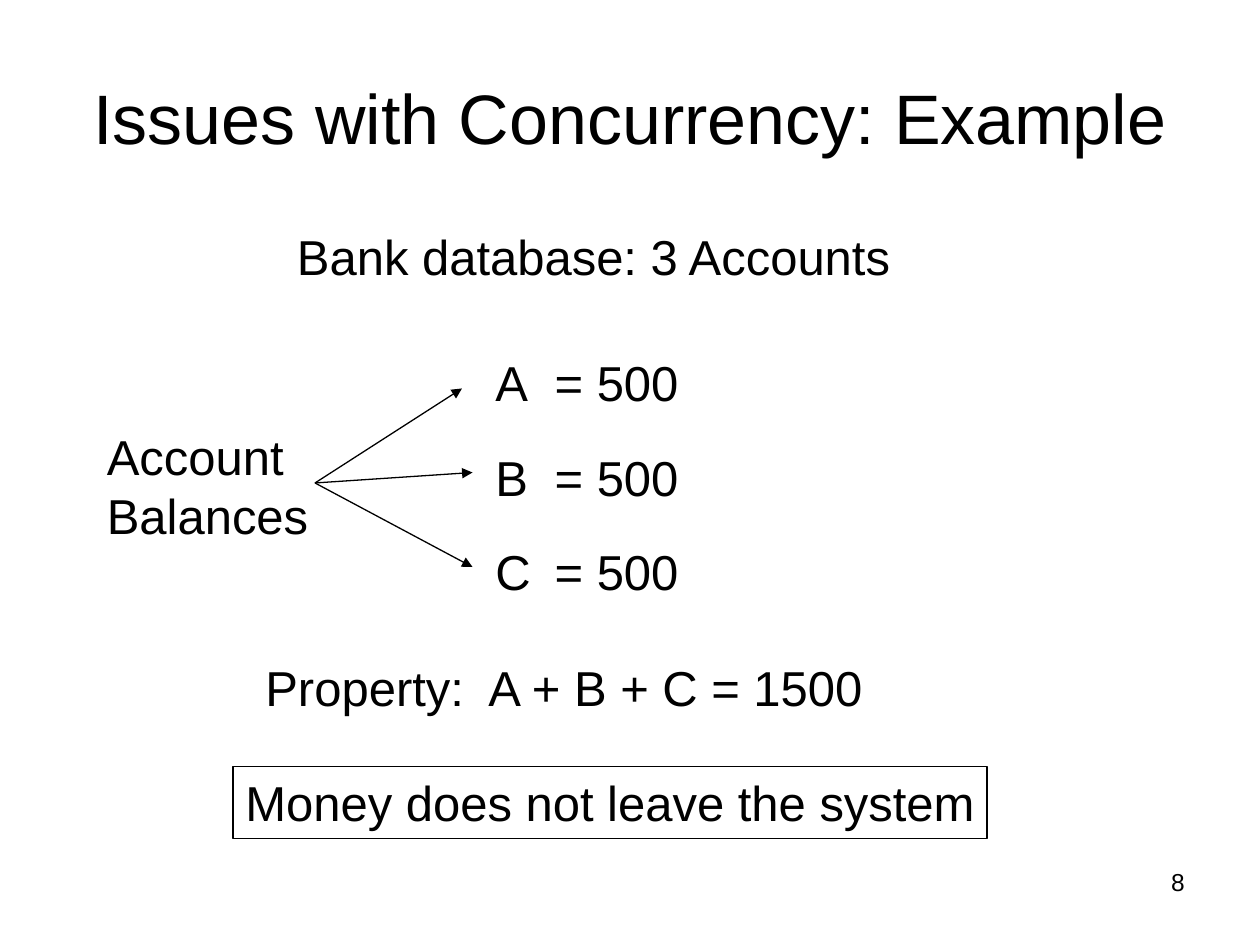
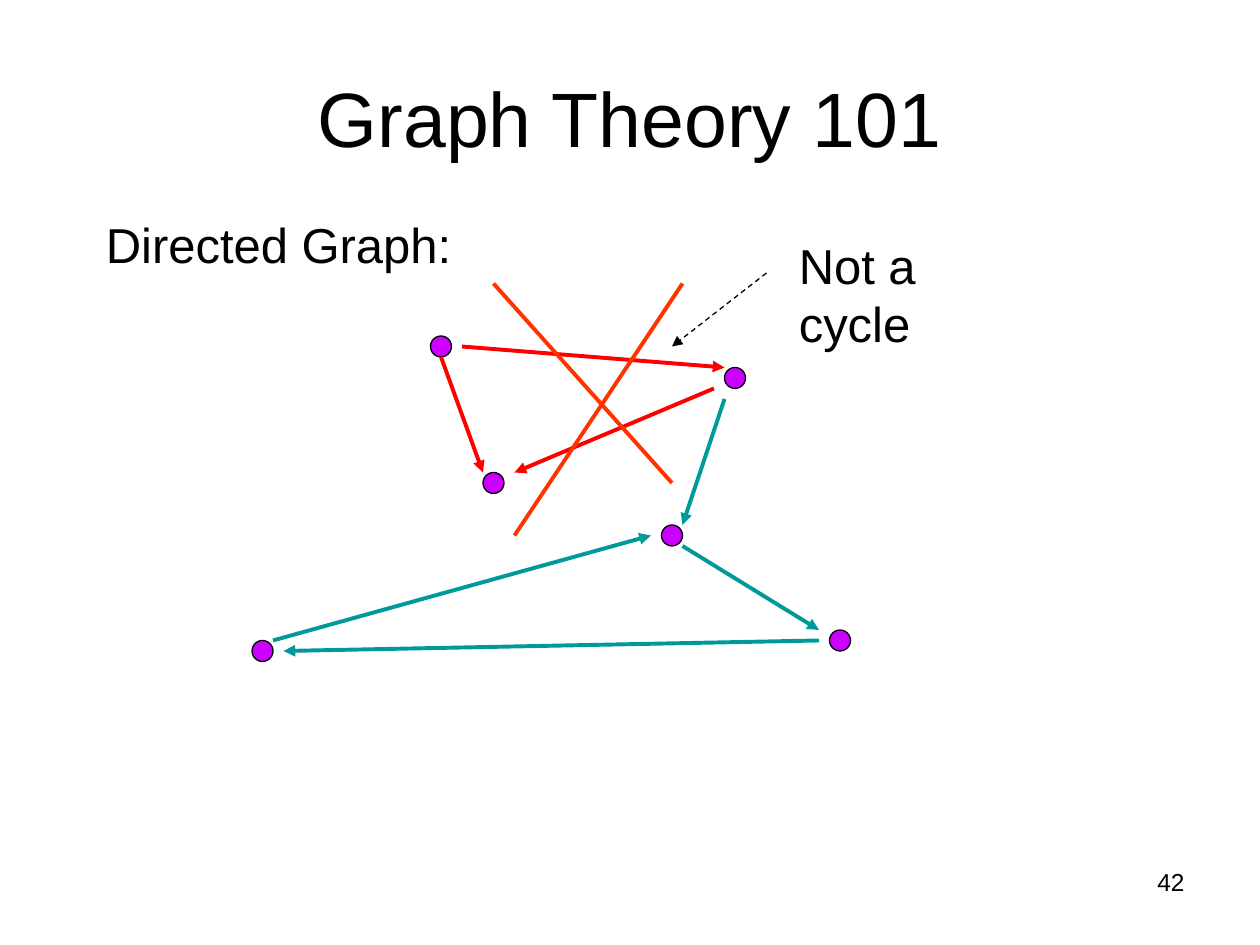
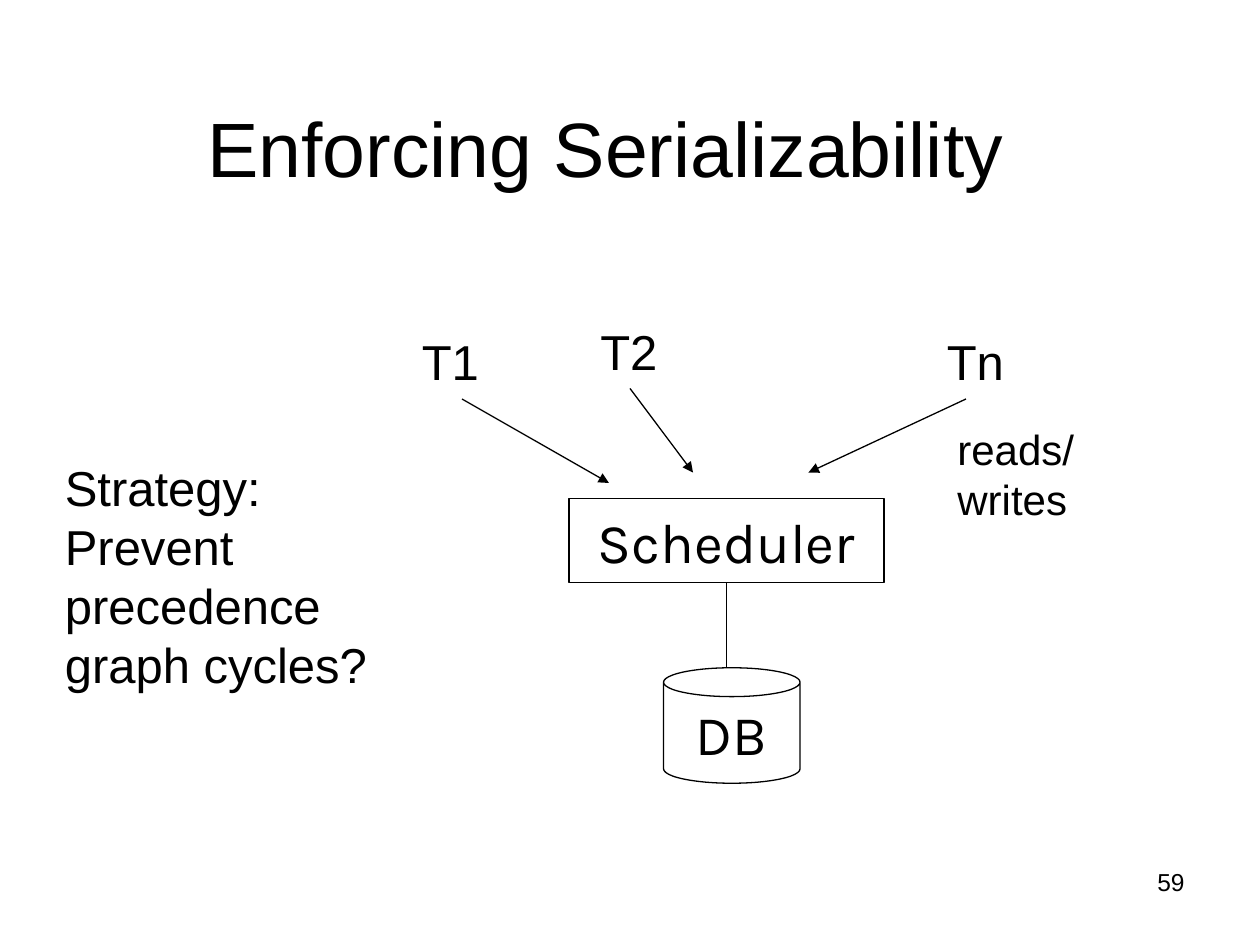
from lxml import etree
from pptx import Presentation
from pptx import util as u
from pptx.dml.color import RGBColor
from pptx.enum import dml, shapes, text
from pptx.oxml.ns import qn

COLORS = {
    "ink": "000000",
    "paper": "FFFFFF",
    "node": "CC00FF",
    "path": "FF0000",
    "cycle": "009999",
    "cross": "FF3300",
}
COLUMNS, ROWS = 120, 90
LEFT, CENTER, RIGHT = text.PP_ALIGN.LEFT, text.PP_ALIGN.CENTER, text.PP_ALIGN.RIGHT
TOP, MIDDLE = text.MSO_ANCHOR.TOP, text.MSO_ANCHOR.MIDDLE


def color(name):
    return RGBColor.from_string(COLORS[name])


class Deck:
    font = "Arial"
    body_size = 28
    text_height = 6.84

    def __init__(self):
        self.presentation = Presentation()
        self.presentation.slide_width = u.Inches(10)
        self.presentation.slide_height = u.Inches(7.5)
        self.slide = None

    def place(self, column, row):
        return (round(self.presentation.slide_width * column / COLUMNS),
                round(self.presentation.slide_height * row / ROWS))

    def new_slide(self, title, number, size=44, at=(6, 3.6, 108, 15)):
        self.slide = self.presentation.slides.add_slide(self.presentation.slide_layouts[6])
        self.label(title, *at, size=size, align=CENTER, anchor=MIDDLE, wrap=True)
        self.label(str(number), 86, 82, 28, 6.2, size=14, align=RIGHT, wrap=True)

    def fill_text(self, shape, lines, size, font, align, anchor, wrap, tab=None):
        frame = shape.text_frame
        frame.word_wrap = wrap
        frame.vertical_anchor = anchor
        paragraph = frame.paragraphs[0]
        paragraph.alignment = align
        if tab:
            tabs = etree.SubElement(paragraph._p.get_or_add_pPr(), qn("a:tabLst"))
            etree.SubElement(tabs, qn("a:tab"), pos=str(u.Inches(tab)), algn="l")
        for index, line in enumerate(lines.split("\n")):
            if index:
                paragraph.add_line_break()
            run = paragraph.add_run()
            run.text = line
            run.font.size = u.Pt(size)
            run.font.name = font
            run.font.color.rgb = color("ink")

    def label(self, lines, column, row, width, height=text_height, size=body_size,
              align=LEFT, anchor=TOP, wrap=False, tab=None):
        box = self.slide.shapes.add_textbox(*self.place(column, row), *self.place(width, height))
        self.fill_text(box, lines, size, self.font, align, anchor, wrap, tab)

    def shape(self, kind, column, row, width, height, fill=None, lines=None,
              size=32, font="Karla", align=CENTER, anchor=MIDDLE):
        shape = self.slide.shapes.add_shape(
            kind, *self.place(column, row), *self.place(width, height))
        shape.shadow.inherit = False
        if fill:
            shape.fill.solid()
            shape.fill.fore_color.rgb = color(fill)
        else:
            shape.fill.background()
        shape.line.color.rgb = color("ink")
        shape.line.width = u.Pt(0.75)
        if lines:
            self.fill_text(shape, lines, size, font, align, anchor, False)
        return shape

    def line(self, start, end, stroke="ink", weight=0.75, arrow=True, dashed=False):
        connector = self.slide.shapes.add_connector(
            shapes.MSO_CONNECTOR.STRAIGHT, *self.place(*start), *self.place(*end))
        connector.line.color.rgb = color(stroke)
        connector.line.width = u.Pt(weight)
        if dashed:
            connector.line.dash_style = dml.MSO_LINE.DASH
        properties = connector._element.spPr
        if arrow:
            etree.SubElement(properties.find(qn("a:ln")), qn("a:tailEnd"), type="triangle")
        etree.SubElement(properties, qn("a:effectLst"))
        return connector


def concurrency_example(deck):
    deck.new_slide("Issues with Concurrency: Example", 8, size=40)
    for index, account in enumerate("ABC"):
        deck.label(f"{account}\t= 500", 46, 33 + 9 * index, 20, tab=0.47)
    deck.label("Account\nBalances", 9, 40, 21.6, 12.5)
    for tip in [(44, 37), (45, 45), (45, 54)]:
        deck.line((30, 46), tip)
    deck.label("Bank database: 3 Accounts", 27.1, 21, 59.2)
    deck.label("Property:\tA + B + C = 1500", 24.1, 62, 59.8, tab=1.77)
    deck.shape(shapes.MSO_SHAPE.RECTANGLE, 22.2, 73, 71.8, deck.text_height,
               lines="Money does not leave the system", size=deck.body_size,
               font=deck.font, align=LEFT, anchor=TOP)


def graph_theory(deck):
    deck.new_slide("Graph Theory 101", 42)
    for column, row in [(79, 60), (41, 32), (24, 61), (69, 35), (46, 45), (63, 50)]:
        deck.shape(shapes.MSO_SHAPE.OVAL, column, row, 2, 2, fill="node")
    edges = {
        "path": [((42, 34), (46, 45)), ((44, 33), (69, 35)), ((68, 37), (49, 45))],
        "cycle": [((69, 38), (65, 50)), ((26, 61), (62, 51)),
                  ((65, 52), (78, 60)), ((78, 61), (27, 62))],
        "cross": [((47, 27), (64, 46)), ((65, 27), (49, 51))],
    }
    for stroke, ends in edges.items():
        for start, end in ends:
            deck.line(start, end, stroke, 2.25, arrow=stroke != "cross")
    deck.label("Directed Graph:", 8.9, 19.8, 35.3)
    deck.label("Not a cycle", 74.9, 21.8, 25.4)
    deck.line((73, 26), (64, 33), dashed=True)


def enforcing_serializability(deck):
    deck.new_slide("Enforcing Serializability", 59, at=(5.2, 6.5, 105, 15))
    scheduler = deck.shape(shapes.MSO_SHAPE.RECTANGLE, 54.2, 47.5, 30, 8, "paper", "Scheduler")
    deck.shape(shapes.MSO_SHAPE.CAN, 63.2, 63.6, 13, 11, "paper", "DB")
    link = deck.line((69.2, 55.5), (69.2, 63.6), arrow=False)
    link.begin_connect(scheduler, 2)
    transactions = [
        ("T1", (39, 31), (44, 38), (58, 46)),
        ("T2", (56, 30), (60, 37), (66, 45)),
        ("Tn", (89, 31), (92, 38), (77, 45)),
    ]
    for name, corner, start, end in transactions:
        deck.label(name, *corner, 7.8)
        deck.line(start, end)
    deck.label("reads/writes", 90, 39.7, 23.9, 6, size=24)
    deck.label("Strategy:\nPrevent precedence\ngraph cycles?", 5, 43, 44, 18)


def main():
    deck = Deck()
    concurrency_example(deck)
    graph_theory(deck)
    enforcing_serializability(deck)
    deck.presentation.save("out.pptx")


if __name__ == "__main__":
    main()
